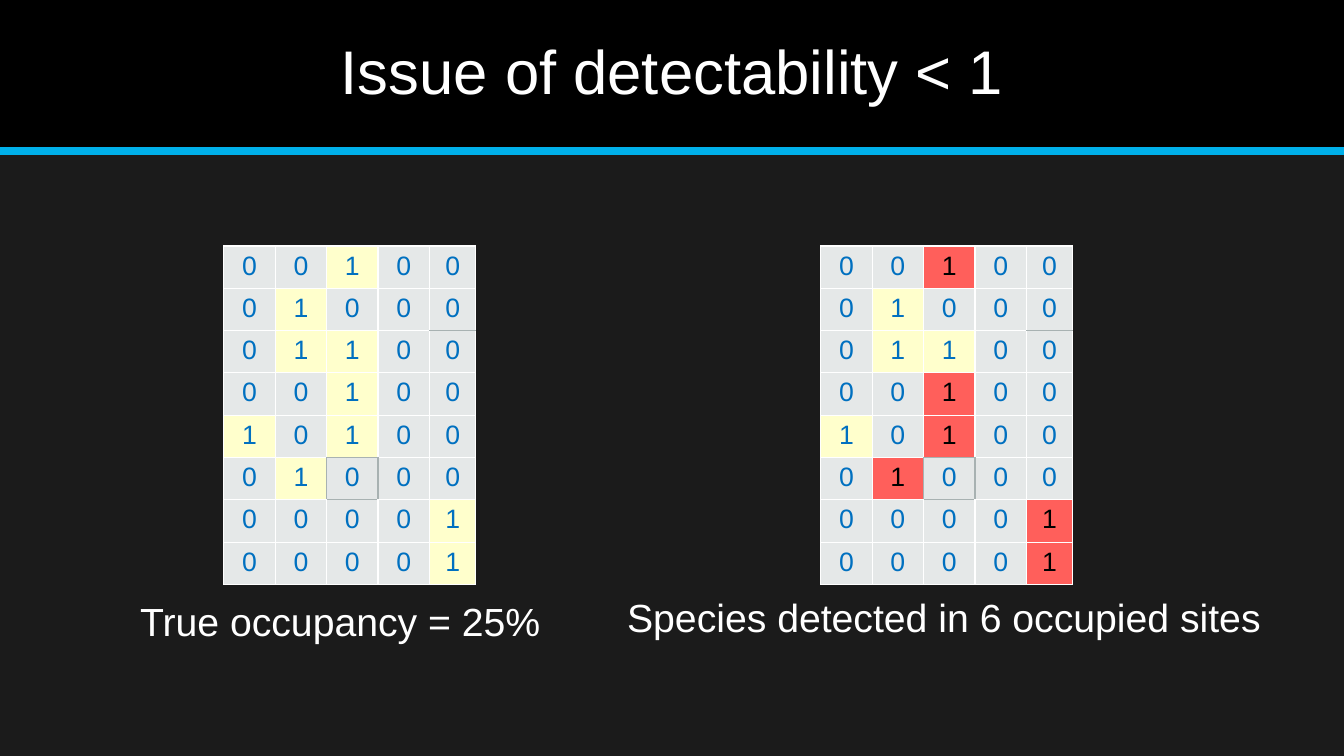
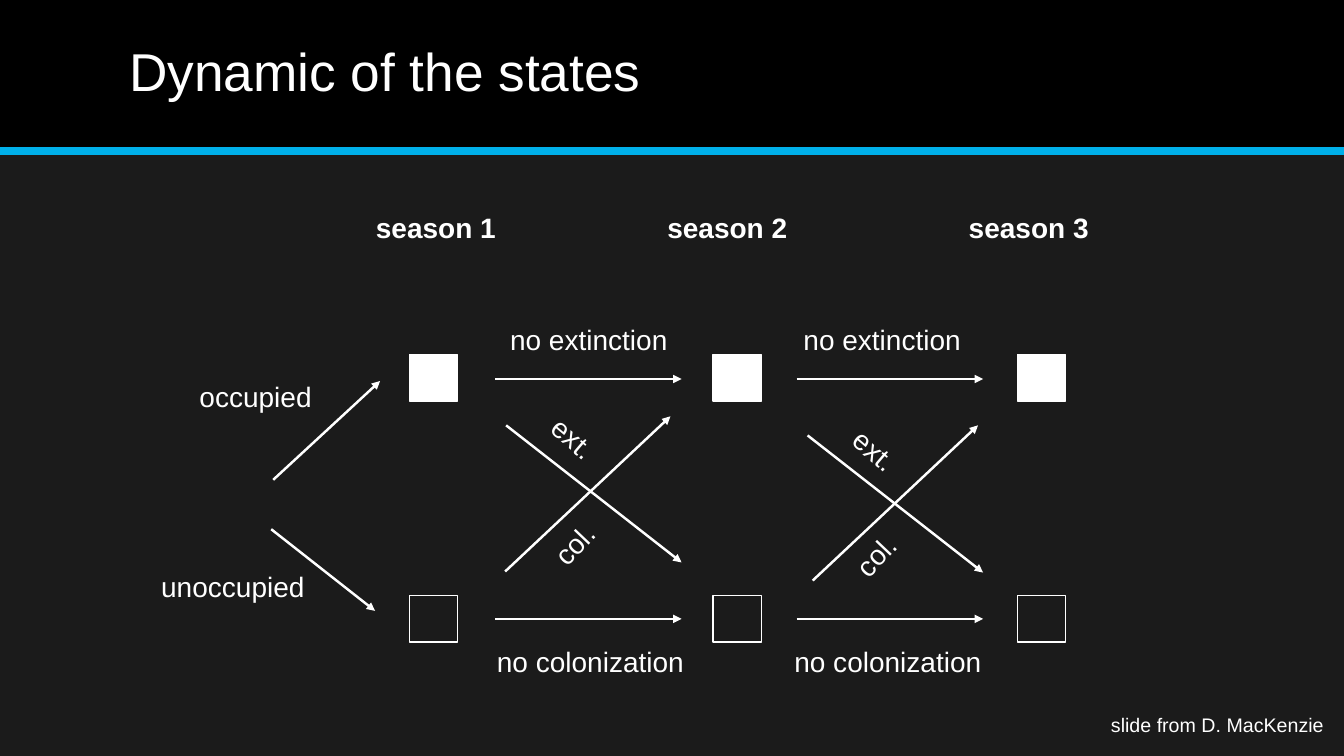
from dataclasses import dataclass

from lxml.etree import SubElement
from pptx import Presentation
from pptx.dml.color import RGBColor
from pptx.enum.shapes import MSO_CONNECTOR, MSO_SHAPE
from pptx.enum.text import MSO_ANCHOR, MSO_AUTO_SIZE, PP_ALIGN
from pptx.oxml.ns import qn
from pptx.shapes.connector import Connector
from pptx.slide import Slide, SlideLayout
from pptx.table import _Cell
from pptx.text.text import TextFrame, _Paragraph
from pptx.util import Inches, Pt


@dataclass(frozen=True)
class Theme:
    font: str = "Arial"
    background: str = "1B1B1B"
    band: str = "000000"
    accent: str = "00B0EA"
    light: str = "FFFFFF"
    digit: str = "0070C0"
    detected_digit: str = "000000"
    empty: str = "E5E8E8"
    occupied: str = "FFFFCC"
    detected: str = "FF5F5B"
    grey_border: str = "A8B2B2"
    title_size: float = 44
    small_title_size: float = 38
    caption_size: float = 28
    label_size: float = 20
    digit_size: float = 19
    credit_size: float = 14
    arrow_width: float = 1.75


THEME = Theme()
SLIDE_WIDTH, SLIDE_HEIGHT, BAND_HEIGHT = 13.33, 7.5, 1.5


@dataclass(frozen=True)
class Label:
    text: str
    left: float
    top: float
    width: float
    height: float = 0.44
    size: float = THEME.label_size
    bold: bool = False
    rotation: float = 0
    wrap: bool = False
    inset: tuple[float, float] = (0.1, 0.05)


@dataclass(frozen=True)
class Arrow:
    start: tuple[float, float]
    run: float
    rise: float = 0


@dataclass(frozen=True)
class SiteGrid:
    left: float
    detected: frozenset[tuple[int, int]]
    caption: Label


# Site data: one string per row, 1 for an occupied site
OCCUPANCY = ("00100", "01000", "01100", "00100",
             "10100", "01000", "00001", "00001")
DETECTED = frozenset({(0, 2), (3, 2), (4, 2), (5, 1), (6, 4), (7, 4)})
GRID_TOP, ROW_HEIGHT = 2.44, 0.42
COLUMN_WIDTHS = (0.51, 0.51, 0.51, 0.51, 0.46)
GREY_SIDES = {(1, 4): "B", (2, 4): "T", (4, 2): "B", (5, 1): "R",
              (5, 2): "LRTB", (5, 3): "L", (6, 2): "T"}
WIDE_INSET = (0.11, 0.06)

SITE_GRIDS = (
    SiteGrid(2.22, frozenset(),
             Label("True occupancy = 25%", 1.28, 5.87, 4.6, 0.59,
                   THEME.caption_size, wrap=True, inset=WIDE_INSET)),
    SiteGrid(8.14, DETECTED,
             Label("Species detected in 6 occupied sites", 6.11, 5.83, 7, 0.59,
                   THEME.caption_size, wrap=True, inset=WIDE_INSET)),
)

# State diagram
SEASON_LEFTS = (4.06, 7.07, 10.09)
OCCUPIED_TOP, UNOCCUPIED_TOP = 3.52, 5.91
STATE_WIDTH, STATE_HEIGHT = 0.48, 0.46

ARROWS = (
    *(Arrow((left, top), 1.85) for left in (4.91, 7.9) for top in (3.76, 6.14)),
    *(Arrow(start, 1.74, 1.36) for start in ((5.02, 4.22), (8.01, 4.32))),
    *(Arrow(start, 1.64, -1.54) for start in ((5.01, 5.67), (8.06, 5.76))),
    Arrow((2.71, 4.76), 1.06, -0.98),
    Arrow((2.69, 5.25), 1.03, 0.81),
)

LABELS = (
    *(Label(f"season {number}", left, 2.04, 1.4, bold=True)
      for number, left in enumerate((3.63, 6.52, 9.51), start=1)),
    Label("occupied", 1.88, 3.72, 1.33),
    Label("unoccupied", 1.5, 5.6, 1.64),
    *(Label("no extinction", left, 3.15, 1.78) for left in (4.96, 7.87)),
    *(Label("no colonization", left, 6.34, 2.07) for left in (4.83, 7.78)),
    *(Label("ext.", left, top, 0.65, rotation=40.4)
      for left, top in ((5.36, 4.13), (8.35, 4.25))),
    *(Label("col.", left, top, 0.64, rotation=313.6)
      for left, top in ((5.38, 5.18), (8.37, 5.29))),
    Label("slide from D. MacKenzie", 10.92, 7.02, 2.32, 0.34, THEME.credit_size),
)


def rgb(color: str) -> RGBColor:
    return RGBColor.from_string(color)


def add_run(paragraph: _Paragraph, text: str, size: float,
            color: str = THEME.light, bold: bool = False) -> None:
    run = paragraph.add_run()
    run.text = text
    run.font.name = THEME.font
    run.font.size = Pt(size)
    run.font.bold = bold
    run.font.color.rgb = rgb(color)


def set_insets(frame: TextFrame, inset: tuple[float, float]) -> None:
    frame.margin_left = frame.margin_right = Inches(inset[0])
    frame.margin_top = frame.margin_bottom = Inches(inset[1])


def add_label(slide: Slide, label: Label) -> None:
    box = slide.shapes.add_textbox(Inches(label.left), Inches(label.top),
                                   Inches(label.width), Inches(label.height))
    box.rotation = label.rotation
    frame = box.text_frame
    frame.word_wrap = label.wrap
    frame.auto_size = MSO_AUTO_SIZE.SHAPE_TO_FIT_TEXT
    set_insets(frame, label.inset)
    add_run(frame.paragraphs[0], label.text, label.size, bold=label.bold)


def add_line(slide: Slide, start: tuple[float, float], end: tuple[float, float],
             color: str, width: float) -> Connector:
    line = slide.shapes.add_connector(
        MSO_CONNECTOR.STRAIGHT, *(Inches(value) for value in (*start, *end)))
    line.line.color.rgb = rgb(color)
    line.line.width = Pt(width)
    SubElement(line.element.spPr, qn("a:effectLst"))
    return line


def add_arrow(slide: Slide, arrow: Arrow) -> None:
    left, top = arrow.start
    line = add_line(slide, arrow.start, (left + arrow.run, top + arrow.rise),
                    THEME.light, THEME.arrow_width)
    SubElement(line.line._get_or_add_ln(), qn("a:tailEnd"), type="triangle")


def add_state(slide: Slide, left: float, top: float, occupied: bool) -> None:
    square = slide.shapes.add_shape(MSO_SHAPE.RECTANGLE, Inches(left), Inches(top),
                                    Inches(STATE_WIDTH), Inches(STATE_HEIGHT))
    square.shadow.inherit = False
    square.line.color.rgb = rgb(THEME.light)
    square.line.width = Pt(1)
    if occupied:
        square.fill.solid()
        square.fill.fore_color.rgb = rgb(THEME.light)
    else:
        square.fill.background()


def set_borders(cell: _Cell, grey_sides: str) -> None:
    properties = cell._tc.get_or_add_tcPr()
    for side in "LRTB":
        border = SubElement(properties, qn(f"a:ln{side}"), w=str(Pt(1)))
        fill = SubElement(border, qn("a:solidFill"))
        color = THEME.grey_border if side in grey_sides else THEME.light
        SubElement(fill, qn("a:srgbClr"), val=color)


def add_site_grid(slide: Slide, grid: SiteGrid) -> None:
    table = slide.shapes.add_table(
        len(OCCUPANCY), len(COLUMN_WIDTHS), Inches(grid.left), Inches(GRID_TOP),
        Inches(sum(COLUMN_WIDTHS)), Inches(ROW_HEIGHT * len(OCCUPANCY))).table
    table.first_row = table.horz_banding = False
    for column, width in zip(table.columns, COLUMN_WIDTHS):
        column.width = Inches(width)
    for row, digits in enumerate(OCCUPANCY):
        table.rows[row].height = Inches(ROW_HEIGHT)
        for column, digit in enumerate(digits):
            site = (row, column)
            fill = THEME.occupied if digit == "1" else THEME.empty
            color = THEME.digit
            if site in grid.detected:
                fill, color = THEME.detected, THEME.detected_digit
            cell = table.cell(row, column)
            set_borders(cell, GREY_SIDES.get(site, ""))
            cell.fill.solid()
            cell.fill.fore_color.rgb = rgb(fill)
            paragraph = cell.text_frame.paragraphs[0]
            paragraph.alignment = PP_ALIGN.CENTER
            add_run(paragraph, digit, THEME.digit_size, color)
    add_label(slide, grid.caption)


def decorate_layout(layout: SlideLayout, slide: Slide) -> None:
    """Draw the title band on a slide, then move it to the shared layout."""
    layout.background.fill.solid()
    layout.background.fill.fore_color.rgb = rgb(THEME.background)
    band = slide.shapes.add_shape(MSO_SHAPE.RECTANGLE, 0, 0,
                                  Inches(SLIDE_WIDTH), Inches(BAND_HEIGHT))
    band.shadow.inherit = False
    band.fill.solid()
    band.fill.fore_color.rgb = rgb(THEME.band)
    band.line.fill.background()
    rule = add_line(slide, (0, BAND_HEIGHT), (SLIDE_WIDTH, BAND_HEIGHT),
                    THEME.accent, 6)
    for placeholder in list(layout.placeholders)[1:]:
        layout.shapes.element.remove(placeholder.element)
    for position, part in enumerate((band, rule), start=2):
        layout.shapes.element.insert(position, part.element)


def set_title(slide: Slide, text: str, size: float, alignment: PP_ALIGN) -> None:
    title = slide.shapes.title
    title.left, title.top = Inches(1.17), Inches(0.14)
    title.width, title.height = Inches(11), Inches(1.2)
    frame = title.text_frame
    frame.vertical_anchor = MSO_ANCHOR.MIDDLE
    frame.auto_size = MSO_AUTO_SIZE.NONE
    set_insets(frame, WIDE_INSET)
    paragraph = frame.paragraphs[0]
    paragraph.alignment = alignment
    paragraph.line_spacing = 0.9
    add_run(paragraph, text, size)


def main() -> None:
    presentation = Presentation()
    presentation.slide_width = Inches(SLIDE_WIDTH)
    presentation.slide_height = Inches(SLIDE_HEIGHT)
    title_only = presentation.slide_layouts[5]

    # Detectability
    detectability = presentation.slides.add_slide(title_only)
    decorate_layout(title_only, detectability)
    set_title(detectability, "Issue of detectability < 1",
              THEME.title_size, PP_ALIGN.CENTER)
    for grid in SITE_GRIDS:
        add_site_grid(detectability, grid)

    # State dynamics
    dynamics = presentation.slides.add_slide(title_only)
    set_title(dynamics, "Dynamic of the states",
              THEME.small_title_size, PP_ALIGN.LEFT)
    for left in SEASON_LEFTS:
        add_state(dynamics, left, OCCUPIED_TOP, occupied=True)
        add_state(dynamics, left, UNOCCUPIED_TOP, occupied=False)
    for arrow in ARROWS:
        add_arrow(dynamics, arrow)
    for label in LABELS:
        add_label(dynamics, label)

    presentation.save("out.pptx")


if __name__ == "__main__":
    main()
